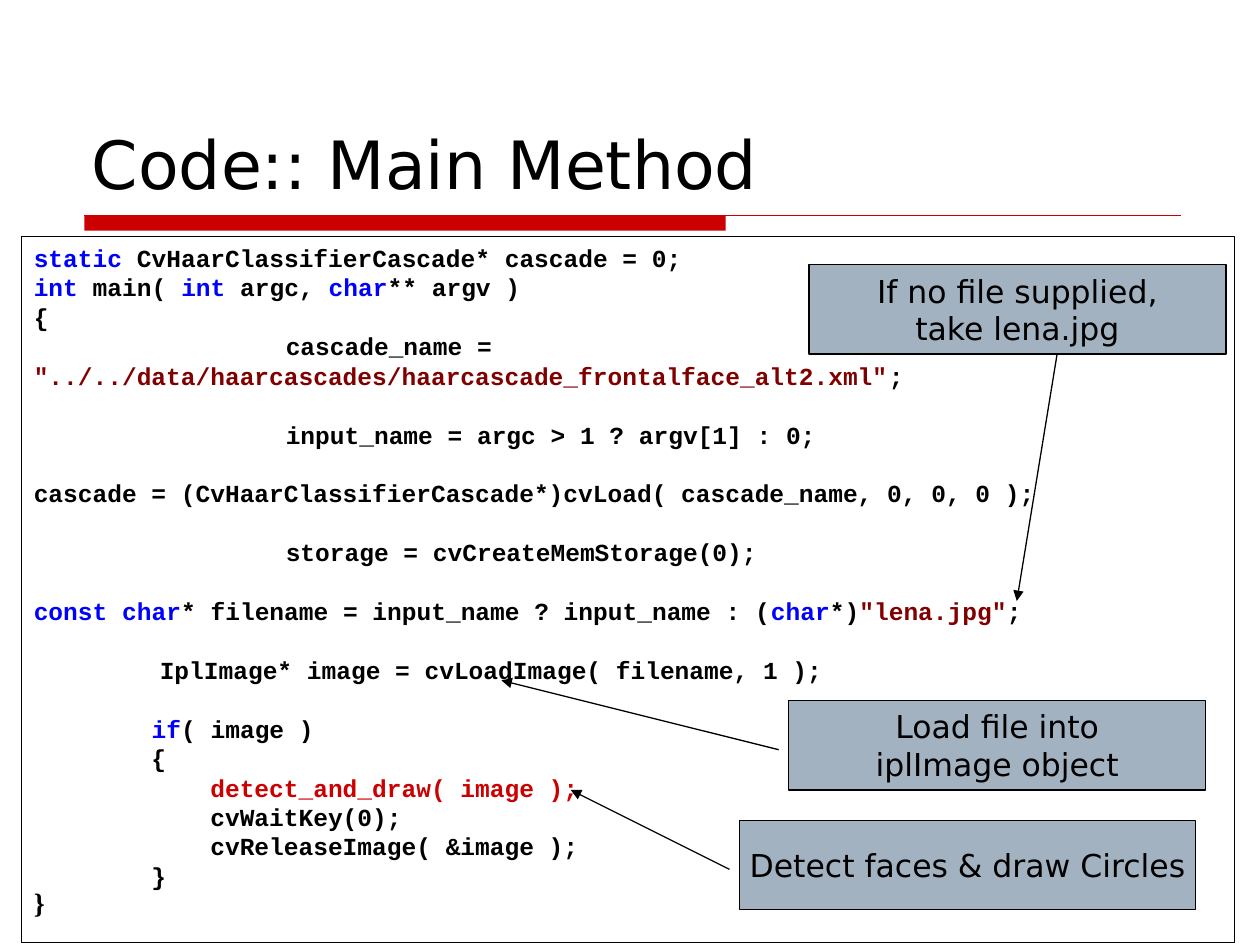
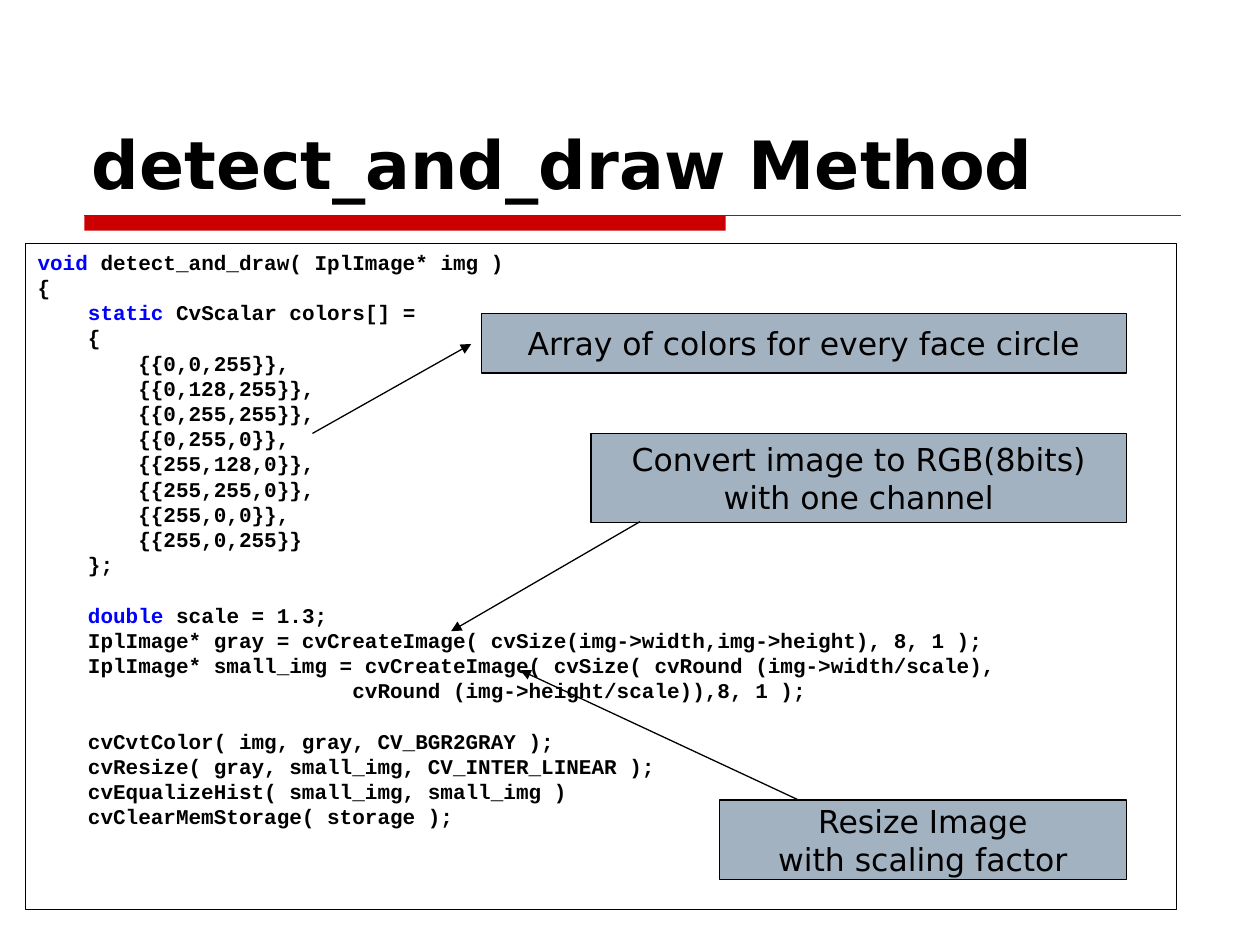
import dataclasses
import itertools

import lxml.etree
import pptx
import pptx.dml.color
import pptx.enum.shapes
import pptx.enum.text
import pptx.oxml.ns
import pptx.util

ALIGN = pptx.enum.text.PP_ALIGN
ANCHOR = pptx.enum.text.MSO_ANCHOR
KEYWORDS = {"static", "int", "char", "const", "if", "void", "double"}


@dataclasses.dataclass(frozen=True)
class Theme:
    ink: str = "000000"
    paper: str = "FFFFFF"
    accent: str = "CC0000"
    callout: str = "A3B2C1"
    keyword: str = "0000FF"
    literal: str = "800000"
    heading_font: str = "DejaVu Sans"
    code_font: str = "Courier New"
    brace_font: str = "Times New Roman"
    title_size: int = 38
    callout_size: int = 18
    brace_size: int = 16
    line_width: float = 0.75
    code_leading: float = 1.2


def rgb(color):
    return pptx.dml.color.RGBColor.from_string(color)


class Deck:
    """Holds the theme and the current slide; lengths are grid columns and rows."""

    COLUMNS, ROWS = 100, 75

    def __init__(self, theme):
        self.theme = theme
        self.deck = pptx.Presentation()
        self.deck.slide_width = pptx.util.Inches(10)
        self.deck.slide_height = pptx.util.Inches(7.5)
        self.slide = None

    def x(self, columns):
        return round(self.deck.slide_width * columns / self.COLUMNS)

    def y(self, rows):
        return round(self.deck.slide_height * rows / self.ROWS)

    def area(self, left, top, width, height):
        return self.x(left), self.y(top), self.x(width), self.y(height)

    def add_slide(self, title, bold=False):
        self.slide = self.deck.slides.add_slide(self.deck.slide_layouts[6])
        # Red band under the title, running on as a thin rule
        self.box((6.7, 17.1, 50.9, 1.2), self.theme.accent, None)
        self.line((6.7, 17.1), (93.7, 17.1), self.theme.accent)
        frame = self.slide.shapes.add_textbox(*self.area(6.3, 3.3, 87.5, 13.3)).text_frame
        frame.word_wrap = True
        frame.vertical_anchor = ANCHOR.BOTTOM
        heading = frame.paragraphs[0]
        heading.text = title
        self.style(heading, self.theme.heading_font, self.theme.title_size, bold)

    def style(self, paragraph, font, size, bold=False):
        paragraph.font.name = font
        paragraph.font.size = pptx.util.Pt(size)
        paragraph.font.bold = bold
        paragraph.font.color.rgb = rgb(self.theme.ink)

    def box(self, area, fill, outline):
        shape = self.slide.shapes.add_shape(
            pptx.enum.shapes.MSO_SHAPE.RECTANGLE, *self.area(*area))
        shape.shadow.inherit = False
        shape.fill.solid()
        shape.fill.fore_color.rgb = rgb(fill)
        if outline:
            shape.line.color.rgb = rgb(outline)
            shape.line.width = pptx.util.Pt(self.theme.line_width)
        else:
            shape.line.fill.background()
        return shape

    def line(self, start, end, color):
        connector = self.slide.shapes.add_connector(
            pptx.enum.shapes.MSO_CONNECTOR.STRAIGHT,
            self.x(start[0]), self.y(start[1]), self.x(end[0]), self.y(end[1]))
        connector.line.color.rgb = rgb(color)
        connector.line.width = pptx.util.Pt(self.theme.line_width)
        properties = connector.element.spPr
        lxml.etree.SubElement(properties, pptx.oxml.ns.qn("a:effectLst"))
        return connector

    def arrow(self, start, end):
        outline = self.line(start, end, self.theme.ink).line.fill._xPr
        lxml.etree.SubElement(outline, pptx.oxml.ns.qn("a:tailEnd"), type="triangle")

    def callout(self, area, lines, start, end):
        frame = self.box(area, self.theme.callout, self.theme.ink).text_frame
        frame.word_wrap = False
        frame.vertical_anchor = ANCHOR.MIDDLE
        for number, text in enumerate(lines):
            paragraph = frame.add_paragraph() if number else frame.paragraphs[0]
            paragraph.text = text
            paragraph.alignment = ALIGN.CENTER
            self.style(paragraph, self.theme.heading_font, self.theme.callout_size)
        self.arrow(start, end)

    def tokens(self, line):
        """Yield (color, text) for each piece of a line of code."""
        for number, part in enumerate(line.split('"')):
            if number % 2:
                yield self.theme.literal, f'"{part}"'
                continue
            for _, letters in itertools.groupby(part, lambda c: c.isalnum() or c == "_"):
                word = "".join(letters)
                yield (self.theme.keyword if word in KEYWORDS else self.theme.ink), word

    def code(self, area, source, size, highlight=None):
        frame = self.box(area, self.theme.paper, self.theme.ink).text_frame
        frame.word_wrap = True
        frame.vertical_anchor = ANCHOR.TOP
        leading = size * self.theme.code_leading
        paragraph, gap = None, 0
        for line in source.strip("\n").split("\n"):
            if not line:
                gap += leading
                continue
            paragraph = frame.add_paragraph() if paragraph else frame.paragraphs[0]
            paragraph.alignment = ALIGN.LEFT
            paragraph.line_spacing = pptx.util.Pt(leading)
            paragraph.space_before = pptx.util.Pt(gap)
            gap = 0
            # One tab stop per inch
            stops = lxml.etree.SubElement(
                paragraph._p.get_or_add_pPr(), pptx.oxml.ns.qn("a:tabLst"))
            for inch in range(1, 8):
                lxml.etree.SubElement(stops, pptx.oxml.ns.qn("a:tab"),
                                      pos=str(pptx.util.Inches(inch)), algn="l")
            self.style(paragraph, self.theme.code_font, size, bold=True)
            pieces = ([(self.theme.accent, line)] if line.strip() == highlight
                      else self.tokens(line))
            for color, group in itertools.groupby(pieces, lambda piece: piece[0]):
                run = paragraph.add_run()
                run.text = "".join(text for _, text in group)
                run.font.color.rgb = rgb(color)
        return frame


MAIN_METHOD = """
static CvHaarClassifierCascade* cascade = 0;
int main( int argc, char** argv )
{
\t\tcascade_name = "../../data/haarcascades/haarcascade_frontalface_alt2.xml";

\t\tinput_name = argc > 1 ? argv[1] : 0;

cascade = (CvHaarClassifierCascade*)cvLoad( cascade_name, 0, 0, 0 );

\t\tstorage = cvCreateMemStorage(0);

const char* filename = input_name ? input_name : (char*)"lena.jpg";

\tIplImage* image = cvLoadImage( filename, 1 );

        if( image )
        {
            detect_and_draw( image );
            cvWaitKey(0);
            cvReleaseImage( &image );
        }
}
"""

DETECT_METHOD = """
void detect_and_draw( IplImage* img )
{
    static CvScalar colors[] =
    {
        {{0,0,255}},
        {{0,128,255}},
        {{0,255,255}},
        {{0,255,0}},
        {{255,128,0}},
        {{255,255,0}},
        {{255,0,0}},
        {{255,0,255}}
    };

    double scale = 1.3;
    IplImage* gray = cvCreateImage( cvSize(img->width,img->height), 8, 1 );
    IplImage* small_img = cvCreateImage( cvSize( cvRound (img->width/scale),
                         cvRound (img->height/scale)),8, 1 );

    cvCvtColor( img, gray, CV_BGR2GRAY );
    cvResize( gray, small_img, CV_INTER_LINEAR );
    cvEqualizeHist( small_img, small_img )
    cvClearMemStorage( storage );
"""


def main():
    theme = Theme()
    deck = Deck(theme)

    # Main method
    deck.add_slide("Code:: Main Method")
    listing = deck.code((1.7, 18.8, 96.3, 56), MAIN_METHOD, 14,
                        highlight="detect_and_draw( image );")
    deck.style(listing.paragraphs[-1], theme.brace_font, theme.brace_size, bold=True)
    deck.callout((64.2, 21, 33.1, 7.1), ["If no file supplied,", "take lena.jpg"],
                 (83.9, 28.1), (80.7, 47.7))
    deck.callout((62.6, 55.6, 33.1, 7.1), ["Load file into", "iplImage object"],
                 (61.8, 59.5), (39.8, 54))
    deck.callout((58.7, 65.1, 36.2, 7.1), ["Detect faces & draw Circles"],
                 (57.9, 69), (45.3, 62.7))

    # Detection method
    deck.add_slide("detect_and_draw Method", bold=True)
    deck.code((2, 19.3, 91.4, 52.9), DETECT_METHOD, 12)
    deck.callout((38.2, 24.9, 51.2, 4.7), ["Array of colors for every face circle"],
                 (24.8, 34.4), (37.4, 27.3))
    deck.callout((46.9, 34.4, 42.5, 7.1),
                 ["Convert image to RGB(8bits)", "with one channel"],
                 (50.8, 41.4), (35.8, 50.1))
    deck.callout((57.1, 63.5, 32.3, 6.3), ["Resize Image", "with scaling factor"],
                 (63.4, 63.5), (41.3, 53.2))

    deck.deck.save("out.pptx")


if __name__ == "__main__":
    main()
